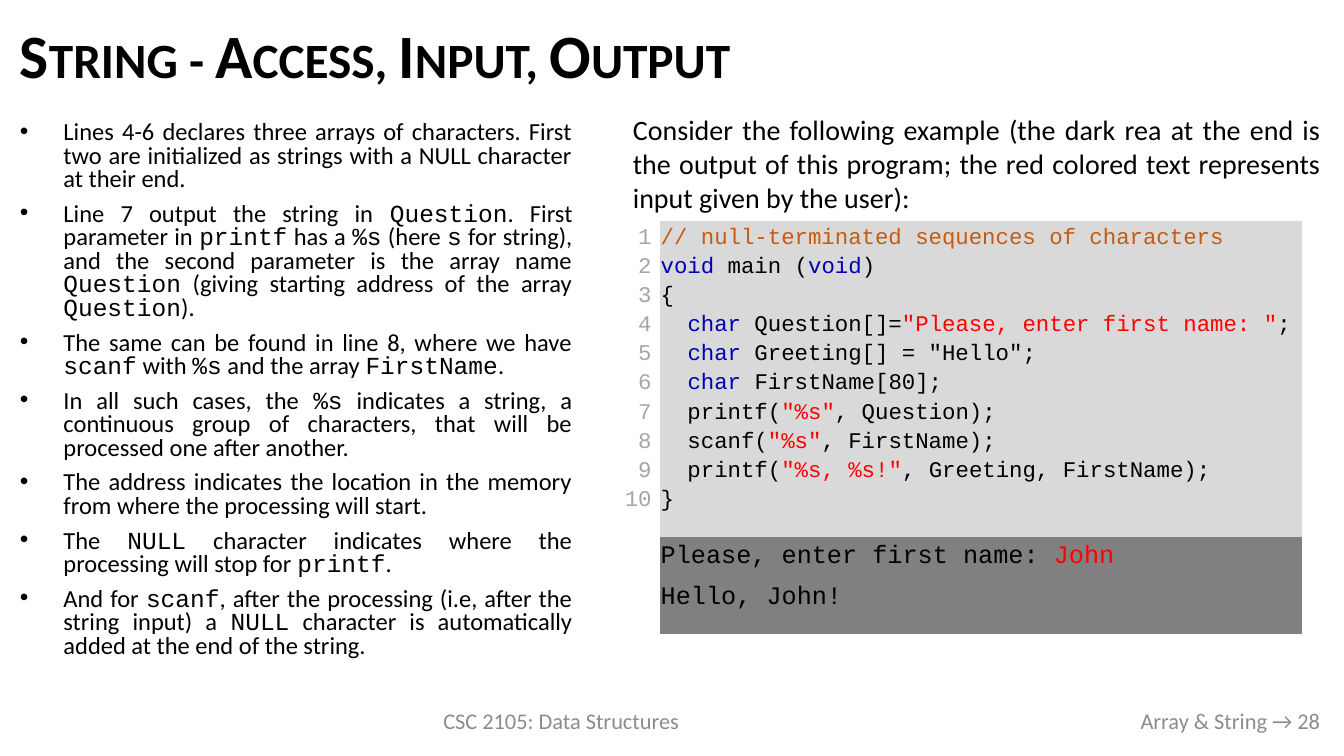
from lxml.etree import SubElement
from pptx import Presentation
from pptx.dml.color import RGBColor
from pptx.enum.text import MSO_ANCHOR as Anchor, PP_ALIGN as Align
from pptx.oxml.ns import qn
from pptx.util import Cm, Pt

SANS, MONO = "Calibri", "Courier New"
BLACK, RED, BLUE, BROWN = "000000", "FF0000", "0000B0", "C55A11"
LIGHT, DARK, FOOTER, NUMBER = "D9D9D9", "808080", "8C8C8C", "A6A6A6"
PLAIN_TABLE = "{2D5ABB26-0587-4C30-8999-92F81FD0307C}"

# Backticks enclose the words set in the code font.
BULLETS = [
    "Lines 4-6 declares three arrays of characters. First two are initialized "
    "as strings with a NULL character at their end. ",
    "Line 7 output the string in `Question`. First parameter in `printf` has a "
    "`%s` (here `s` for string), and the second parameter is the array name "
    "`Question` (giving starting address of the array `Question`). ",
    "The same can be found in line 8, where we have `scanf` with `%s` and the "
    "array `FirstName`. ",
    "In all such cases, the `%s` indicates a string, a continuous group of "
    "characters, that will be processed one after another. ",
    "The address indicates the location in the memory from where the "
    "processing will start. ",
    "The `NULL` character indicates where the processing will stop for `printf`. ",
    "And for `scanf`, after the processing (i.e, after the string input) a "
    "`NULL` character is automatically added at the end of the string.",
]
INTRO = ("Consider the following example (the dark rea at the end is the output "
         "of this program; the red colored text represents input given by the user):")
CODE = [
    [("// null-terminated sequences of characters", BROWN)],
    [("void", BLUE), (" main (", BLACK), ("void", BLUE), (")", BLACK)],
    [("{", BLACK)],
    [("  ", BLACK), ("char", BLUE), (" Question[]=", BLACK),
     ('"Please, enter first name: "', RED), (";", BLACK)],
    [("  ", BLACK), ("char", BLUE), (' Greeting[] = "Hello";', BLACK)],
    [("  ", BLACK), ("char ", BLUE), ("FirstName[80];", BLACK)],
    [("  printf(", BLACK), ('"%s"', RED), (", Question);", BLACK)],
    [("  scanf(", BLACK), ('"%s"', RED), (", FirstName);", BLACK)],
    [("  printf(", BLACK), ('"%s, %s!"', RED), (", Greeting, FirstName);", BLACK)],
    [("}", BLACK)],
]
OUTPUT = [
    [("Please, enter first name: ", BLACK), ("John", RED)],
    [("Hello, John!", BLACK)],
]


def color(value):
    return RGBColor.from_string(value)


def apply(target, values):
    for name, value in values.items():
        setattr(target, name, value)


def add_span(para, text, size, name=SANS, fill=BLACK, **values):
    span = para.add_run()
    span.text = text
    apply(span.font, dict(size=Pt(size), name=name, **values))
    span.font.color.rgb = color(fill)
    return span


def next_para(frame, **values):
    """Use the frame's first paragraph while it is empty, then add new ones."""
    para = frame.paragraphs[0]
    if para.runs:
        para = frame.add_paragraph()
    apply(para, values)
    return para


def add_box(page, left, top, width, height, anchor=Anchor.TOP):
    box = page.shapes.add_textbox(Cm(left), Cm(top), Cm(width), Cm(height))
    apply(box.text_frame, {"word_wrap": True, "vertical_anchor": anchor})
    return box.text_frame


def add_title(page, text):
    frame = add_box(page, 0.25, 0.28, 33.27, 2.41, Anchor.MIDDLE)
    span = add_span(next_para(frame, line_spacing=0.9), text, 44, bold=True)
    span.font._element.set("cap", "small")


def add_bullets(page, items):
    frame = add_box(page, 0.25, 2.95, 14.43, 14.38)
    for item in items:
        para = next_para(frame, alignment=Align.JUSTIFY, line_spacing=0.8,
                         space_before=Pt(4), space_after=Pt(4))
        layout = para._p.get_or_add_pPr()
        layout.set("marL", str(Cm(1.1)))
        layout.set("indent", str(-Cm(1.1)))
        SubElement(layout, qn("a:buFont"), typeface="Arial")
        SubElement(layout, qn("a:buChar"), char="•")
        for index, text in enumerate(item.split("`")):
            add_span(para, text, 17.5, MONO if index % 2 else SANS)


def add_footer(page, text, left, width, alignment):
    frame = add_box(page, left, 17.65, width, 1.02, Anchor.MIDDLE)
    add_span(next_para(frame, alignment=alignment), text, 16, fill=FOOTER)


def fill_lines(cell, lines, size, fill, gap=0):
    """Write coloured code lines; gap is the space around all but the first."""
    cell.fill.solid()
    cell.fill.fore_color.rgb = color(fill)
    for index, line in enumerate(lines):
        space = Pt(gap if index else 0)
        para = next_para(cell.text_frame, line_spacing=1.15,
                         space_before=space, space_after=space)
        for text, shade in line:
            add_span(para, text, size, MONO, shade)


def fill_numbers(cell, count):
    cell.margin_right = Cm(0.2)
    para = next_para(cell.text_frame, alignment=Align.RIGHT, line_spacing=1.15)
    for number in range(1, count + 1):
        if number > 1:
            para.add_line_break()
        add_span(para, str(number), 16, MONO, NUMBER)


def add_listing(page):
    widths, heights = (0.92, 16.18), (7.98, 2.44)
    frame = page.shapes.add_table(2, 2, Cm(15.7), Cm(5.56),
                                  Cm(sum(widths)), Cm(sum(heights)))
    table = frame.table
    apply(table, {"first_row": False, "horz_banding": False})
    table._tbl.tblPr.find(qn("a:tableStyleId")).text = PLAIN_TABLE
    for column, width in zip(table.columns, widths):
        column.width = Cm(width)
    for row, height in zip(table.rows, heights):
        row.height = Cm(height)
    for cell in table.iter_cells():
        cell.fill.background()
        apply(cell, {f"margin_{side}": Cm(0.03)
                     for side in ("left", "top", "right", "bottom")})
    fill_numbers(table.cell(0, 0), len(CODE))
    fill_lines(table.cell(0, 1), CODE, 16, LIGHT)
    fill_lines(table.cell(1, 1), OUTPUT, 18, DARK, gap=6)


def main():
    deck = Presentation()
    apply(deck, {"slide_width": Cm(33.87), "slide_height": Cm(19.05)})
    page = deck.slides.add_slide(deck.slide_layouts[6])
    add_title(page, "String - Access, Input, Output")
    add_bullets(page, BULLETS)
    add_listing(page)
    intro = add_box(page, 15.7, 2.72, 17.83, 2.82)
    add_span(next_para(intro, alignment=Align.JUSTIFY), INTRO, 20)
    add_footer(page, "CSC 2105: Data Structures", 9.88, 8.53, Align.CENTER)
    add_footer(page, "Array & String → 28", 19.58, 13.94, Align.RIGHT)
    deck.save("out.pptx")


if __name__ == "__main__":
    main()
